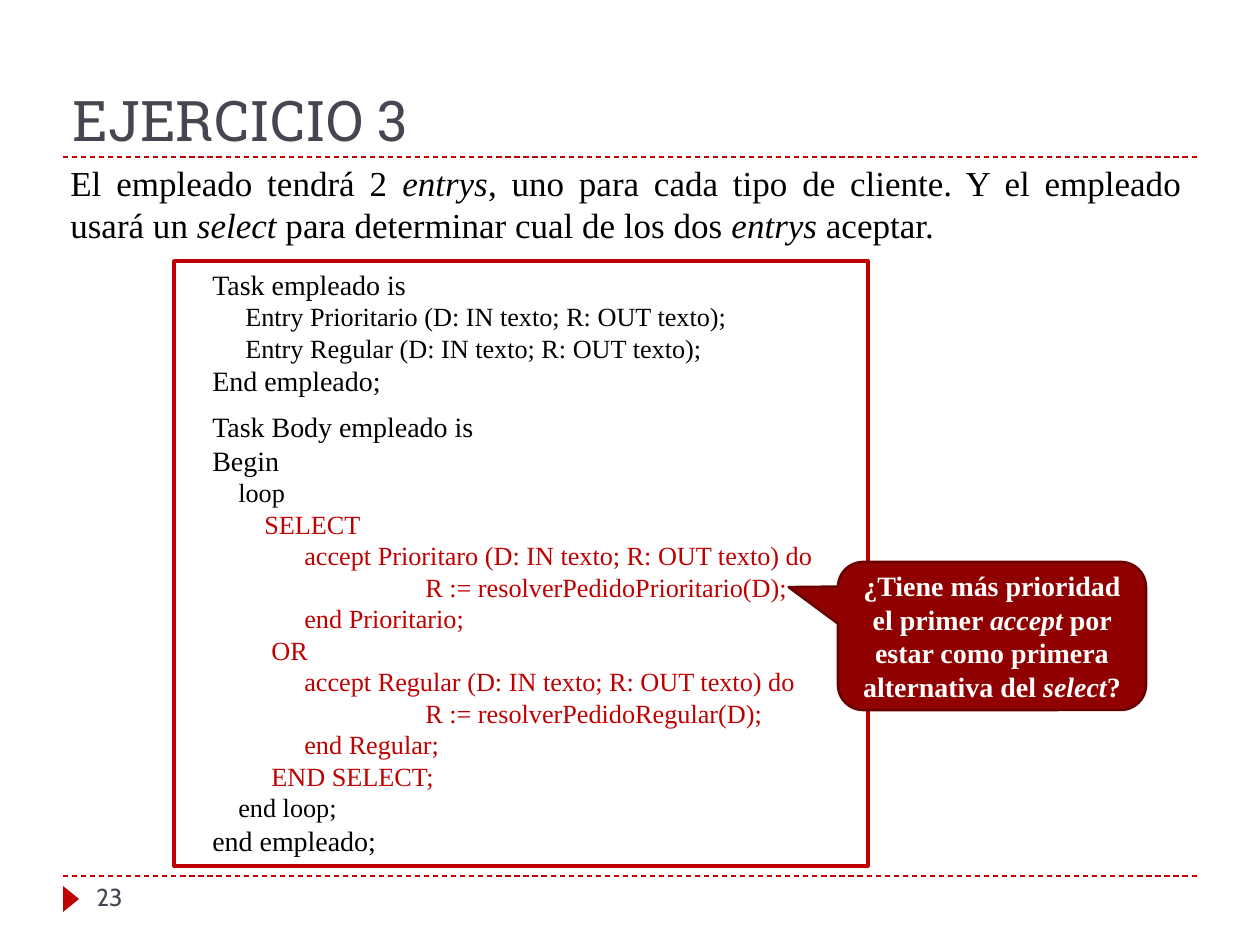
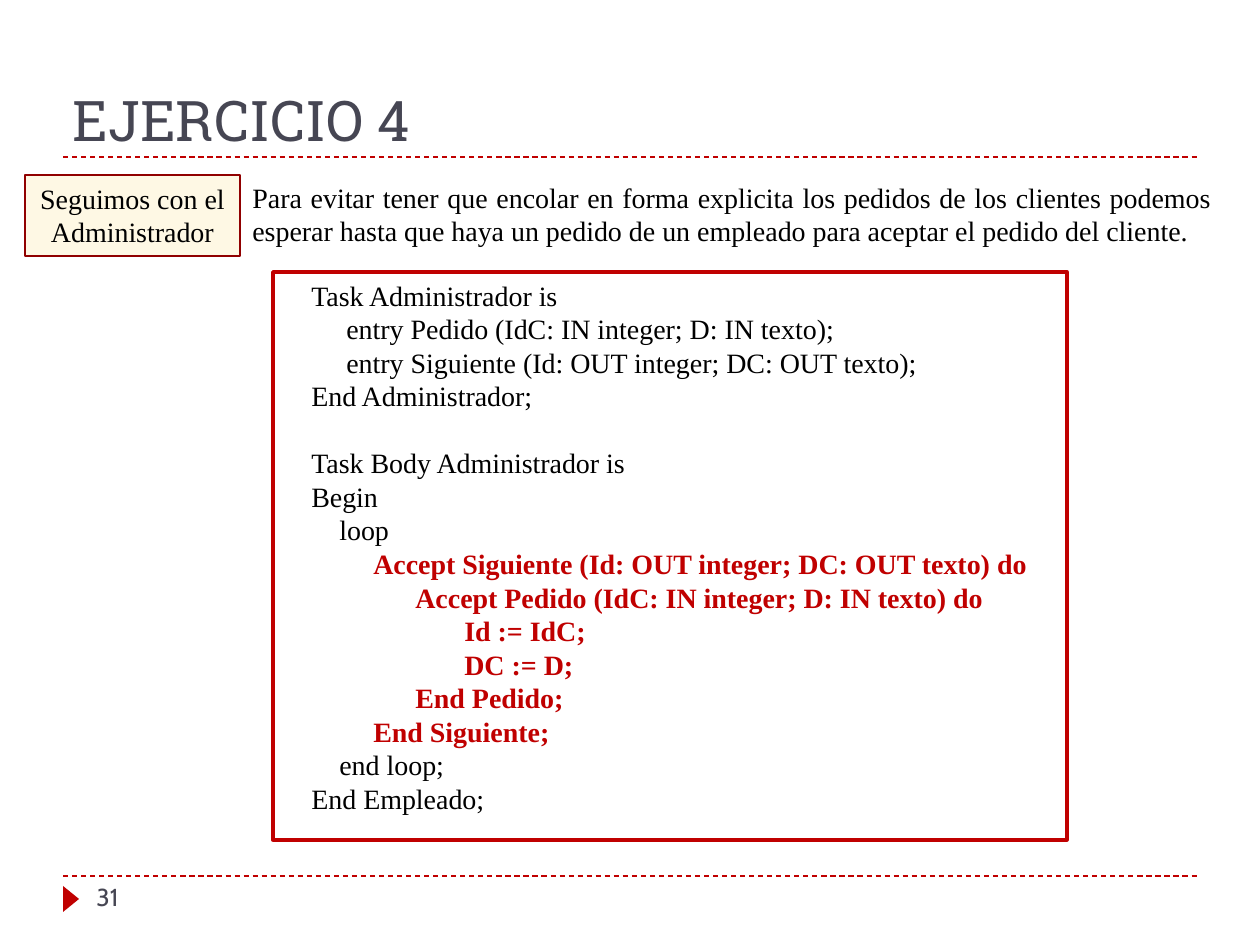
from dataclasses import dataclass

from lxml.etree import SubElement
from pptx import Presentation
from pptx.dml.color import RGBColor
from pptx.enum.dml import MSO_LINE
from pptx.enum.shapes import MSO_CONNECTOR, MSO_SHAPE
from pptx.enum.text import MSO_ANCHOR, MSO_AUTO_SIZE, PP_ALIGN
from pptx.oxml.ns import qn
from pptx.shapes.autoshape import Shape
from pptx.slide import Slide
from pptx.text.text import TextFrame, _Paragraph
from pptx.util import Emu, Pt

COLOURS = {
    "red": "C00000",
    "dark red": "900000",
    "deep red": "6B0000",
    "cream": "FEF8E4",
    "slate": "464653",
    "black": "000000",
    "white": "FFFFFF",
}
SERIF, SLAB, SANS = "Times New Roman", "Roboto Slab", "Cabin"
CODE_MARGIN = 26


@dataclass(frozen=True)
class Area:
    left: int
    top: int
    width: int
    height: int


@dataclass(frozen=True)
class Style:
    size: int
    colour: str = "black"
    font: str = SERIF
    bold: bool = False


@dataclass(frozen=True)
class Piece:
    text: str
    italic: bool = False


@dataclass(frozen=True)
class CodeLine:
    text: str
    style: Style
    indent: int = 0
    gap: int = 0


def px(pixels: int) -> Emu:
    return Emu(round(pixels * 914400 / 126))


def rgb(colour: str) -> RGBColor:
    return RGBColor.from_string(COLOURS[colour])


def bounds(area: Area) -> tuple[Emu, Emu, Emu, Emu]:
    return px(area.left), px(area.top), px(area.width), px(area.height)


def add_run(paragraph: _Paragraph, piece: Piece, style: Style) -> None:
    run = paragraph.add_run()
    run.text = piece.text
    run.font.name = style.font
    run.font.size = Pt(style.size)
    run.font.bold = style.bold
    run.font.italic = piece.italic
    run.font.color.rgb = rgb(style.colour)


def write(frame: TextFrame, pieces: list[Piece], style: Style,
          align: PP_ALIGN = PP_ALIGN.LEFT, anchor: MSO_ANCHOR = MSO_ANCHOR.TOP) -> None:
    frame.word_wrap = True
    frame.auto_size = MSO_AUTO_SIZE.NONE
    frame.vertical_anchor = anchor
    paragraph = frame.paragraphs[0]
    paragraph.alignment = align
    for piece in pieces:
        add_run(paragraph, piece, style)


def add_text(slide: Slide, area: Area, pieces: list[Piece], style: Style,
             align: PP_ALIGN = PP_ALIGN.LEFT) -> None:
    write(slide.shapes.add_textbox(*bounds(area)).text_frame, pieces, style, align)


def add_block(slide: Slide, kind: MSO_SHAPE, area: Area, fill: str | None = None,
              line: str | None = None, weight: float = 0) -> Shape:
    block = slide.shapes.add_shape(kind, *bounds(area))
    block.shadow.inherit = False
    if fill:
        block.fill.solid()
        block.fill.fore_color.rgb = rgb(fill)
    else:
        block.fill.background()
    if line:
        block.line.color.rgb = rgb(line)
        block.line.width = Pt(weight)
    else:
        block.line.fill.background()
    return block


def add_rule(slide: Slide, height: int) -> None:
    rule = slide.shapes.add_connector(
        MSO_CONNECTOR.STRAIGHT, px(63), px(height), px(1197), px(height))
    rule.line.color.rgb = rgb("red")
    rule.line.width = Pt(0.75)
    rule.line.dash_style = MSO_LINE.DASH
    SubElement(rule._element.spPr, qn("a:effectLst"))


def add_code(slide: Slide, area: Area, lines: list[CodeLine]) -> None:
    frame = add_block(slide, MSO_SHAPE.RECTANGLE, area, line="red", weight=2).text_frame
    frame.word_wrap = True
    frame.vertical_anchor = MSO_ANCHOR.TOP
    for number, line in enumerate(lines):
        paragraph = frame.add_paragraph() if number else frame.paragraphs[0]
        paragraph.alignment = PP_ALIGN.LEFT
        paragraph.space_before = Pt(line.gap)
        properties = paragraph._p.get_or_add_pPr()
        properties.set("marL", str(px(CODE_MARGIN + line.indent)))
        properties.set("indent", "0")
        add_run(paragraph, Piece(line.text), line.style)


def start_slide(deck: Presentation, heading: str, number: str) -> Slide:
    slide = deck.slides.add_slide(deck.slide_layouts[5])
    for height in (876, 157):
        add_rule(slide, height)
    marker = add_block(slide, MSO_SHAPE.ISOSCELES_TRIANGLE, Area(58, 891, 26, 16), "red")
    marker.rotation = 90
    add_text(slide, Area(84, 876, 273, 50), [Piece(number)], Style(14, "slate", SANS))
    title = slide.shapes.title
    title.left, title.top, title.width, title.height = bounds(Area(60, 23, 1134, 136))
    write(title.text_frame, [Piece(heading)], Style(32, "slate", SLAB),
          anchor=MSO_ANCHOR.BOTTOM)
    return slide


def build_employee(deck: Presentation) -> None:
    slide = start_slide(deck, "EJERCICIO 3", "23")
    outer, inner, select = Style(16), Style(15), Style(15, "red")
    add_code(slide, Area(174, 261, 694, 605), [
        CodeLine("Task empleado is", outer),
        CodeLine("Entry Prioritario (D: IN texto; R: OUT texto);", inner, 33),
        CodeLine("Entry Regular (D: IN texto; R: OUT texto);", inner, 33),
        CodeLine("End empleado;", outer),
        CodeLine("Task Body empleado is", outer, gap=7),
        CodeLine("Begin", outer),
        CodeLine("loop", inner, 26),
        CodeLine("SELECT", select, 52),
        CodeLine("accept Prioritaro (D: IN texto; R: OUT texto) do", select, 92),
        CodeLine("R := resolverPedidoPrioritario(D);", select, 213),
        CodeLine("end Prioritario;", select, 92),
        CodeLine("OR", select, 59),
        CodeLine("accept Regular (D: IN texto; R: OUT texto) do", select, 92),
        CodeLine("R := resolverPedidoRegular(D);", select, 213),
        CodeLine("end Regular;", select, 92),
        CodeLine("END SELECT;", select, 59),
        CodeLine("end loop;", inner, 26),
        CodeLine("end empleado;", outer),
    ])
    question = add_block(slide, MSO_SHAPE.ROUNDED_RECTANGULAR_CALLOUT,
                         Area(838, 562, 308, 148), "dark red", "deep red", 1.5)
    for position, value in enumerate((-0.66, -0.33, 0.17)):
        question.adjustments[position] = value
    write(question.text_frame, [
        Piece("¿Tiene más prioridad el primer "),
        Piece("accept", True),
        Piece(" por estar como primera alternativa del "),
        Piece("select", True),
        Piece("?"),
    ], Style(16, "white", bold=True), PP_ALIGN.CENTER, MSO_ANCHOR.MIDDLE)
    add_text(slide, Area(58, 155, 1136, 97), [
        Piece("El empleado tendrá 2 "),
        Piece("entrys", True),
        Piece(", uno para cada tipo de cliente. Y el empleado usará un "),
        Piece("select", True),
        Piece(" para determinar cual de los dos "),
        Piece("entrys", True),
        Piece(" aceptar."),
    ], Style(20), PP_ALIGN.JUSTIFY)


def build_administrator(deck: Presentation) -> None:
    slide = start_slide(deck, "EJERCICIO 4", "31")
    plain, accept = Style(16), Style(16, "red", bold=True)
    reminder = add_block(slide, MSO_SHAPE.RECTANGLE, Area(25, 175, 215, 81),
                         "cream", "dark red", 1.5)
    write(reminder.text_frame, [Piece("Seguimos con el Administrador")], plain,
          PP_ALIGN.CENTER)
    add_text(slide, Area(240, 174, 984, 81), [
        Piece("Para evitar tener que encolar en forma explicita los pedidos de los "
              "clientes podemos esperar hasta que haya un pedido de un empleado para "
              "aceptar el pedido del cliente."),
    ], plain, PP_ALIGN.JUSTIFY)
    add_code(slide, Area(273, 272, 794, 568), [
        CodeLine("Task Administrador is", plain),
        CodeLine("entry Pedido (IdC: IN integer; D: IN texto);", plain, 35),
        CodeLine("entry Siguiente (Id: OUT integer; DC: OUT texto);", plain, 35),
        CodeLine("End Administrador;", plain),
        CodeLine("Task Body Administrador is", plain, gap=19),
        CodeLine("Begin", plain),
        CodeLine("loop", plain, 28),
        CodeLine("Accept Siguiente (Id: OUT integer; DC: OUT texto) do", accept, 62),
        CodeLine("Accept Pedido (IdC: IN integer; D: IN texto) do", accept, 104),
        CodeLine("Id := IdC;", accept, 153),
        CodeLine("DC := D;", accept, 153),
        CodeLine("End Pedido;", accept, 104),
        CodeLine("End Siguiente;", accept, 62),
        CodeLine("end loop;", plain, 28),
        CodeLine("End Empleado;", plain),
    ])


def main() -> None:
    deck = Presentation()
    deck.slide_width, deck.slide_height = px(1260), px(945)
    build_employee(deck)
    build_administrator(deck)
    deck.save("out.pptx")


main()
